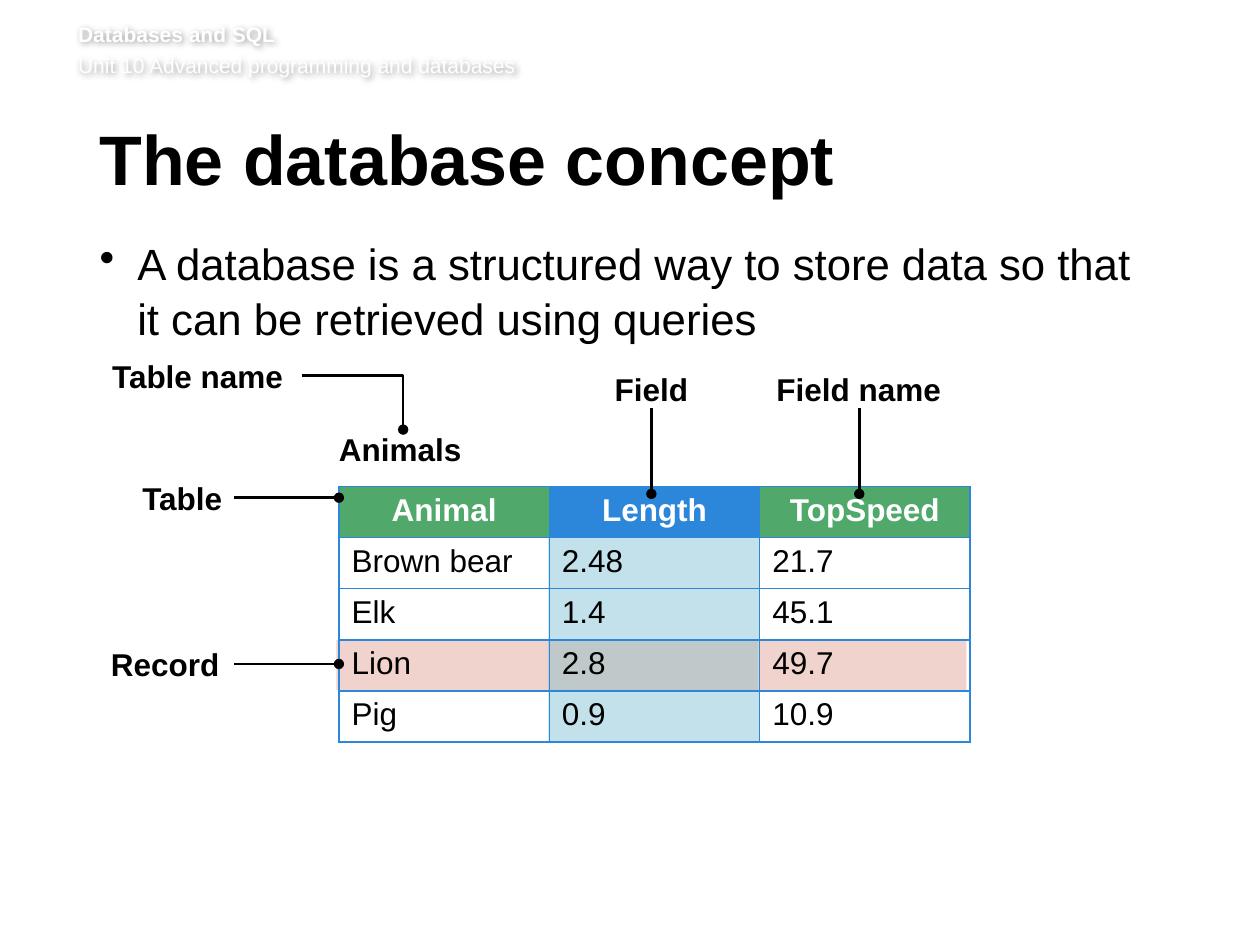
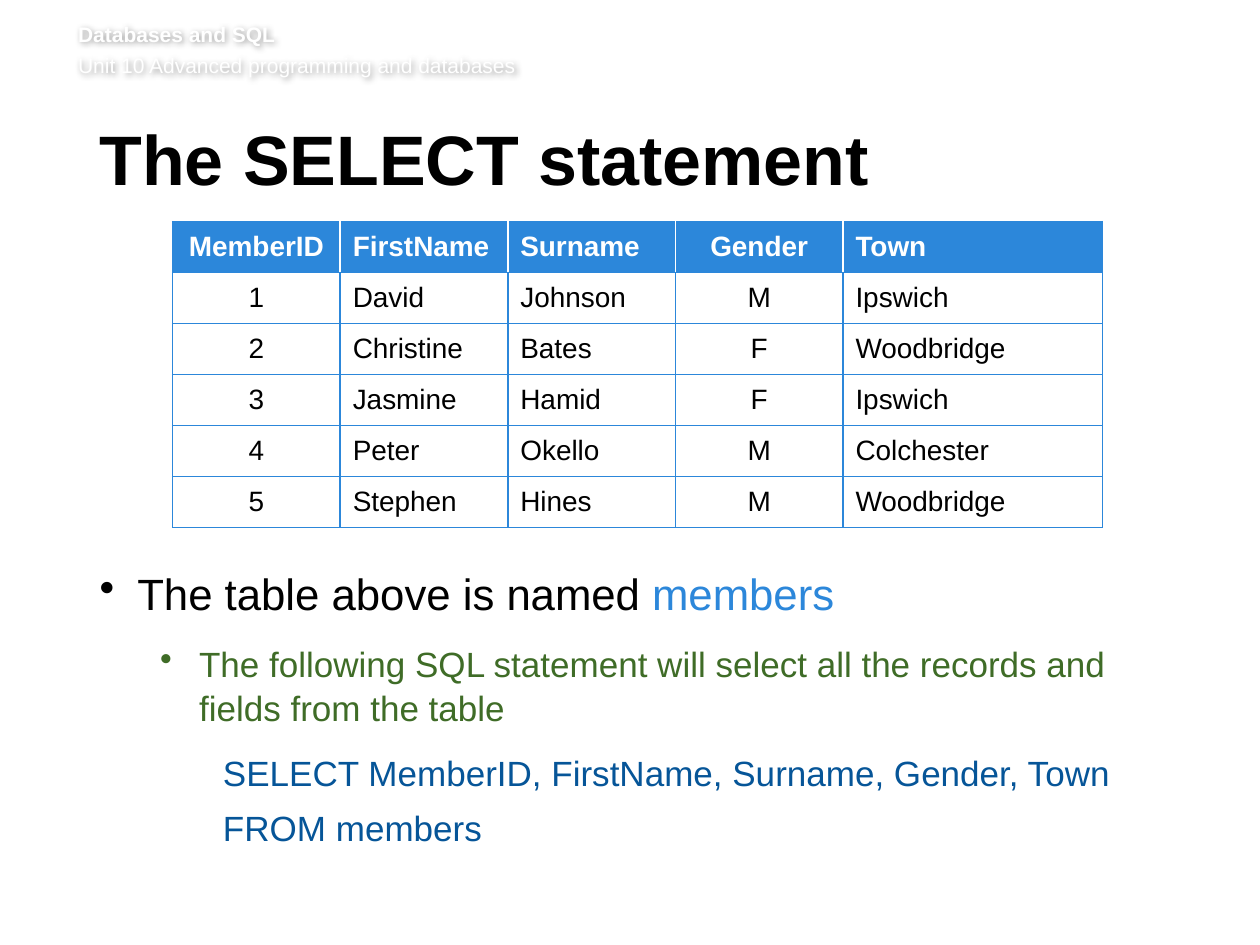
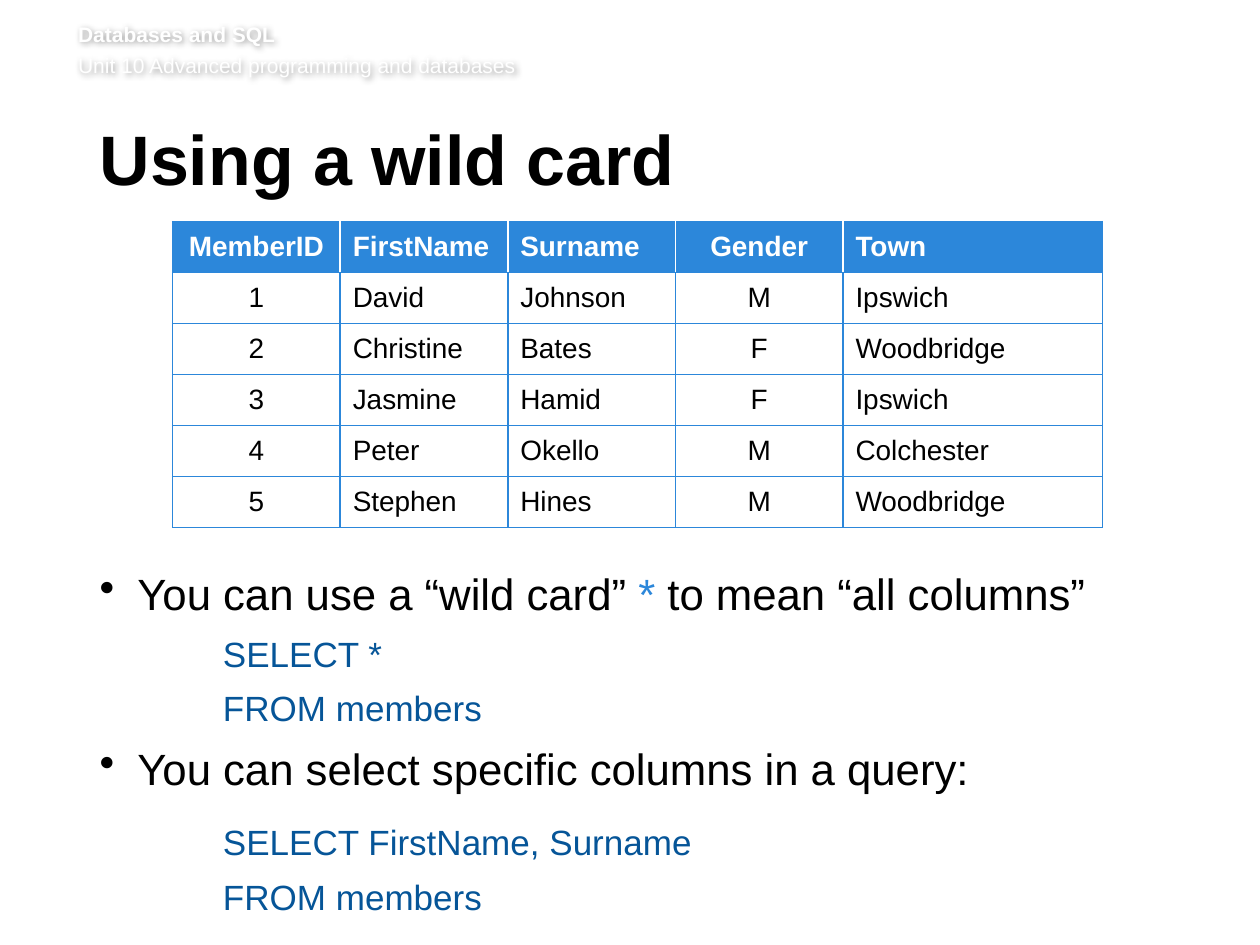
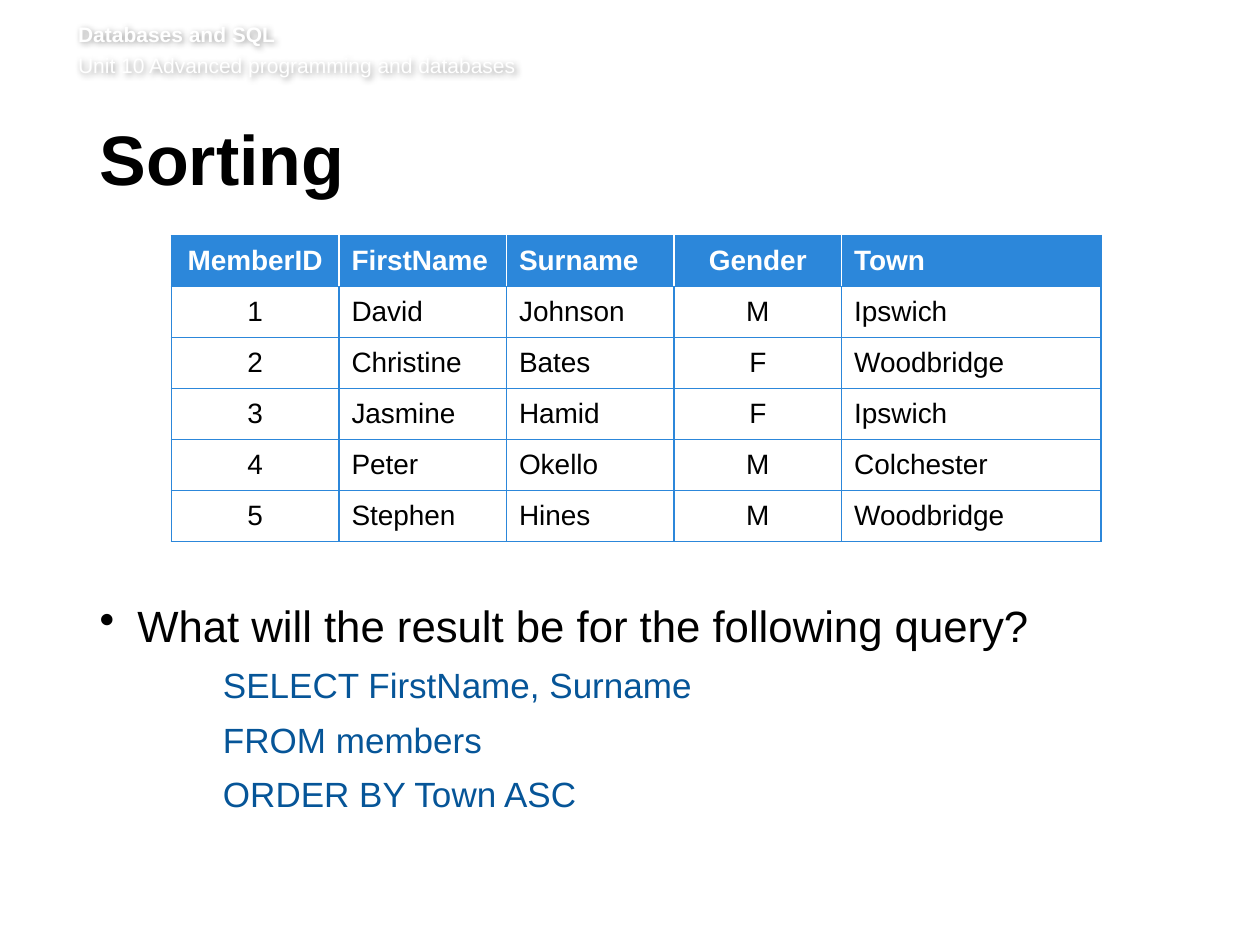
"""Build four lesson slides on databases and SQL."""
from lxml import etree
from pptx import Presentation
from pptx import util as u
from pptx.dml.color import RGBColor
from pptx.enum import shapes, text
from pptx.oxml import ns

COLOURS = {
    "ink": "000000", "paper": "FFFFFF", "blue": "2C87DA", "green": "50A86A",
    "pale_blue": "C3E1EB", "sub_point": "3F6C27", "code": "065598",
    "record": "B32401", "field": "00A4C2",
}
RGB = {name: RGBColor.from_string(value) for name, value in COLOURS.items()}
FONT = "Arial"
LEADING = 1.05
MARGIN, BODY_WIDTH = 0.79, 8.53
STYLES = {
    "point": {"left": 0.3, "hang": 0.3, "bullet": True, "size": 25, "colour": "ink"},
    "sub": {"left": 0.79, "hang": 0.31, "bullet": True, "size": 20, "colour": "sub_point"},
    "code": {"left": 0.98, "hang": 0, "bullet": False, "size": 20, "colour": "code"},
    "header": {"left": 0, "hang": 0, "bullet": False, "size": 12, "colour": "paper"},
    "label": {"left": 0, "hang": 0, "bullet": False, "size": 18, "colour": "ink"},
}
LEFT, CENTRE = text.PP_ALIGN.LEFT, text.PP_ALIGN.CENTER


def add_text(slide, place, paragraphs, insets=(0, 0, 0.1, 0.05), leading=LEADING,
             align=LEFT, bold=()):
    """Add a box of (style, runs, space before, space after) paragraphs."""
    box = slide.shapes.add_textbox(*map(u.Inches, place))
    frame = box.text_frame
    frame.word_wrap = True
    frame.margin_left, frame.margin_top, frame.margin_right, frame.margin_bottom = map(
        u.Inches, insets)
    for index, (style_name, runs, before, after) in enumerate(paragraphs):
        style = STYLES[style_name]
        paragraph = frame.add_paragraph() if index else frame.paragraphs[0]
        properties = paragraph._p.get_or_add_pPr()
        properties.set("marL", str(u.Inches(style["left"])))
        properties.set("indent", str(-u.Inches(style["hang"])))
        if style["bullet"]:
            etree.SubElement(properties, ns.qn("a:buChar"), char="•")
        paragraph.level = 1 if style_name == "sub" else 0
        paragraph.alignment = align
        paragraph.line_spacing = leading
        paragraph.space_before, paragraph.space_after = u.Pt(before), u.Pt(after)
        for words, colour in runs:
            run = paragraph.add_run()
            run.text = words
            run.font.name, run.font.size = FONT, u.Pt(style["size"])
            run.font.bold = index in bold
            run.font.color.rgb = RGB[colour or style["colour"]]
    return box


def add_grid(slide, place, rows, widths, size, centred, anchor, fills, divider):
    """Add a ruled table with a bold header row."""
    grid = slide.shapes.add_table(len(rows), len(widths), *map(u.Inches, place)).table
    grid.horz_banding = False
    for column, width in zip(grid.columns, widths):
        column.width = u.Inches(width)
    last = len(widths) - 1
    for r, row in enumerate(rows):
        for c, value in enumerate(row):
            cell = grid.cell(r, c)
            cell.vertical_anchor = anchor
            if (r, c) in fills:
                cell.fill.solid()
                cell.fill.fore_color.rgb = RGB[fills[r, c]]
            else:
                cell.fill.background()
            paragraph = cell.text_frame.paragraphs[0]
            paragraph.alignment = CENTRE if (r, c) in centred else LEFT
            run = paragraph.add_run()
            run.text = value
            run.font.name, run.font.size, run.font.bold = FONT, u.Pt(size), r == 0
            run.font.color.rgb = RGB["ink" if r else "paper"]
            inner = "blue" if r else divider
            edges = {"lnL": inner if c else "blue", "lnR": inner if c < last else "blue",
                     "lnT": "blue", "lnB": "blue"}
            for index, (edge, colour) in enumerate(edges.items()):
                rule = etree.Element(ns.qn(f"a:{edge}"), w=str(u.Pt(1)))
                paint = etree.SubElement(rule, ns.qn("a:solidFill"))
                etree.SubElement(paint, ns.qn("a:srgbClr"), val=COLOURS[colour])
                cell._tc.get_or_add_tcPr().insert(index, rule)


prs = Presentation()
prs.slide_width, prs.slide_height = u.Inches(10), u.Inches(7.5)
layout = prs.slide_layouts[5]

slides = []
for heading in ("The database concept", "The SELECT statement", "Using a wild card", "Sorting"):
    slide = prs.slides.add_slide(layout)
    slides.append(slide)
    title = slide.shapes.title
    title.left, title.top, title.width, title.height = map(u.Inches, (MARGIN, 0.99, 8.55, 0.73))
    frame = title.text_frame
    frame.auto_size = text.MSO_AUTO_SIZE.NONE
    frame.vertical_anchor = text.MSO_ANCHOR.TOP
    frame.margin_left = 0
    paragraph = frame.paragraphs[0]
    paragraph.alignment = LEFT
    paragraph.line_spacing, paragraph.space_after = u.Pt(39), u.Pt(15)
    run = paragraph.add_run()
    run.text = heading
    run.font.name, run.font.size, run.font.bold = FONT, u.Pt(40), True
    run.font.color.rgb = RGB["ink"]
concept, select, wild_card, sorting = slides

header = add_text(concept, (0.62, 0.16, 8.82, 0.49), [
    ("header", [("Databases and SQL", None)], 0, 0),
    ("header", [("Unit 10 Advanced programming and databases", None)], 2.9, 0),
], insets=(0, 0, 0, 0.05), bold=(0,))
effects = etree.SubElement(header.element.spPr, ns.qn("a:effectLst"))
shadow = etree.SubElement(effects, ns.qn("a:outerShdw"), blurRad=str(u.Pt(4)),
                          dist=str(u.Pt(1)), dir="2700000", algn="tl", rotWithShape="0")
shade = etree.SubElement(shadow, ns.qn("a:srgbClr"), val=COLOURS["ink"])
etree.SubElement(shade, ns.qn("a:alpha"), val="40000")
layout.shapes.element.append(header.element)

COLUMN = 1.67
ANIMALS_LEFT, ANIMALS_TOP = 2.69, 3.86
for place, colour in (((2.67, 5.08, 5, 0.4), "record"),
                      ((4.35, 4.23, COLUMN, 1.66), "field")):
    highlight = concept.shapes.add_shape(shapes.MSO_SHAPE.RECTANGLE, *map(u.Inches, place))
    highlight.shadow.inherit = False
    highlight.line.fill.background()
    highlight.fill.solid()
    highlight.fill.fore_color.rgb = RGB[colour]
    tint = next(highlight.element.spPr.iter(ns.qn("a:srgbClr")))
    etree.SubElement(tint, ns.qn("a:alpha"), val="20000")

add_text(concept, (MARGIN, 1.86, BODY_WIDTH, 3.78), [
    ("point", [("A database is a structured way to store data so that it can be "
                "retrieved using queries", None)], 0, 14)])

animals = [
    ("Animal", "Length", "TopSpeed"),
    ("Brown bear", "2.48", "21.7"),
    ("Elk", "1.4", "45.1"),
    ("Lion", "2.8", "49.7"),
    ("Pig", "0.9", "10.9"),
]
animal_fills = {(0, 0): "green", (0, 1): "blue", (0, 2): "green"}
animal_fills.update({(r, 1): "pale_blue" for r in (1, 2, 4)})
add_grid(concept, (ANIMALS_LEFT, ANIMALS_TOP, 3 * COLUMN, 2.03), animals, [COLUMN] * 3, 18,
         {(0, c) for c in range(3)}, text.MSO_ANCHOR.TOP, animal_fills, "blue")

for label, left, top, width, align in (
        ("Record", 0.88, 5.12, 0.98, LEFT),
        ("Field", 4.68, 2.94, 0.98, CENTRE),
        ("Animals", ANIMALS_LEFT, 3.41, 1.01, LEFT),
        ("Table", 1.13, 3.8, 0.73, LEFT),
        ("Table name", 0.89, 2.83, 1.51, LEFT),
        ("Field name", 6.02, 2.94, 1.59, CENTRE)):
    caption = add_text(concept, (left, top, width, 0.3), [("label", [(label, None)], 0, 0)],
                       insets=(0, 0, 0, 0), leading=1, align=align, bold=(0,))
    caption.text_frame.auto_size = text.MSO_AUTO_SIZE.SHAPE_TO_FIT_TEXT

STRAIGHT, ELBOW = shapes.MSO_CONNECTOR.STRAIGHT, shapes.MSO_CONNECTOR.ELBOW
for bend, *ends in (
        (ELBOW, 2.4, 2.98, 3.2, 3.41),
        (STRAIGHT, 5.17, 3.24, 5.17, 3.92),
        (STRAIGHT, 1.86, 5.27, ANIMALS_LEFT, 5.27),
        (STRAIGHT, 1.86, 3.95, ANIMALS_LEFT, 3.95),
        (STRAIGHT, 6.82, 3.24, 6.82, 3.92)):
    leader = concept.shapes.add_connector(bend, *map(u.Inches, ends))
    leader.line.color.rgb, leader.line.width = RGB["ink"], u.Pt(1.5)
    etree.SubElement(leader.line._get_or_add_ln(), ns.qn("a:tailEnd"), type="oval")
    outline = leader.element.spPr
    etree.SubElement(outline, ns.qn("a:effectLst"))
    if bend == ELBOW:
        outline.find(ns.qn("a:prstGeom")).set("prst", "bentConnector2")

members = [
    ("MemberID", "FirstName", "Surname", "Gender", "Town"),
    ("1", "David", "Johnson", "M", "Ipswich"),
    ("2", "Christine", "Bates", "F", "Woodbridge"),
    ("3", "Jasmine", "Hamid", "F", "Ipswich"),
    ("4", "Peter", "Okello", "M", "Colchester"),
    ("5", "Stephen", "Hines", "M", "Woodbridge"),
]
for slide, left, top in ((select, 1.37, 1.76), (wild_card, 1.37, 1.76), (sorting, 1.36, 1.87)):
    add_grid(slide, (left, top, 7.39, 2.43), members, [1.33] * 4 + [2.06], 16,
             {(r, c) for r in range(len(members)) for c in (0, 3)},
             text.MSO_ANCHOR.MIDDLE, {(0, c): "blue" for c in range(5)}, "paper")

add_text(select, (MARGIN, 4.48, BODY_WIDTH, 2.22), [
    ("point", [("The table above is named ", None), ("members", "blue")], 0, 12),
    ("sub", [("The following SQL statement will select all the records and fields "
              "from the table", None)], 0, 12),
    ("code", [("SELECT MemberID, FirstName, Surname, Gender, Town", None)], 0, 6),
    ("code", [("FROM members", None)], 0, 6),
])
add_text(wild_card, (MARGIN, 4.48, BODY_WIDTH, 2.59), [
    ("point", [("You can use a “wild card” ", None), ("* ", "blue"),
               ("to mean “all columns”", None)], 0, 6),
    ("code", [("SELECT *", None)], 0, 0),
    ("code", [("FROM members", None)], 6, 6),
    ("point", [("You can select specific columns in a query:", None)], 0, 14),
    ("code", [("SELECT FirstName, Surname", None)], 0, 0),
    ("code", [("FROM members", None)], 6, 14),
])
add_text(sorting, (MARGIN, 4.73, BODY_WIDTH, 2), [
    ("point", [("What will the result be for the following query?", None)], 0, 6),
    ("code", [("SELECT FirstName, Surname", None)], 0, 0),
    ("code", [("FROM members", None)], 6, 0),
    ("code", [("ORDER BY Town ASC", None)], 6, 0),
])

prs.save("out.pptx")
